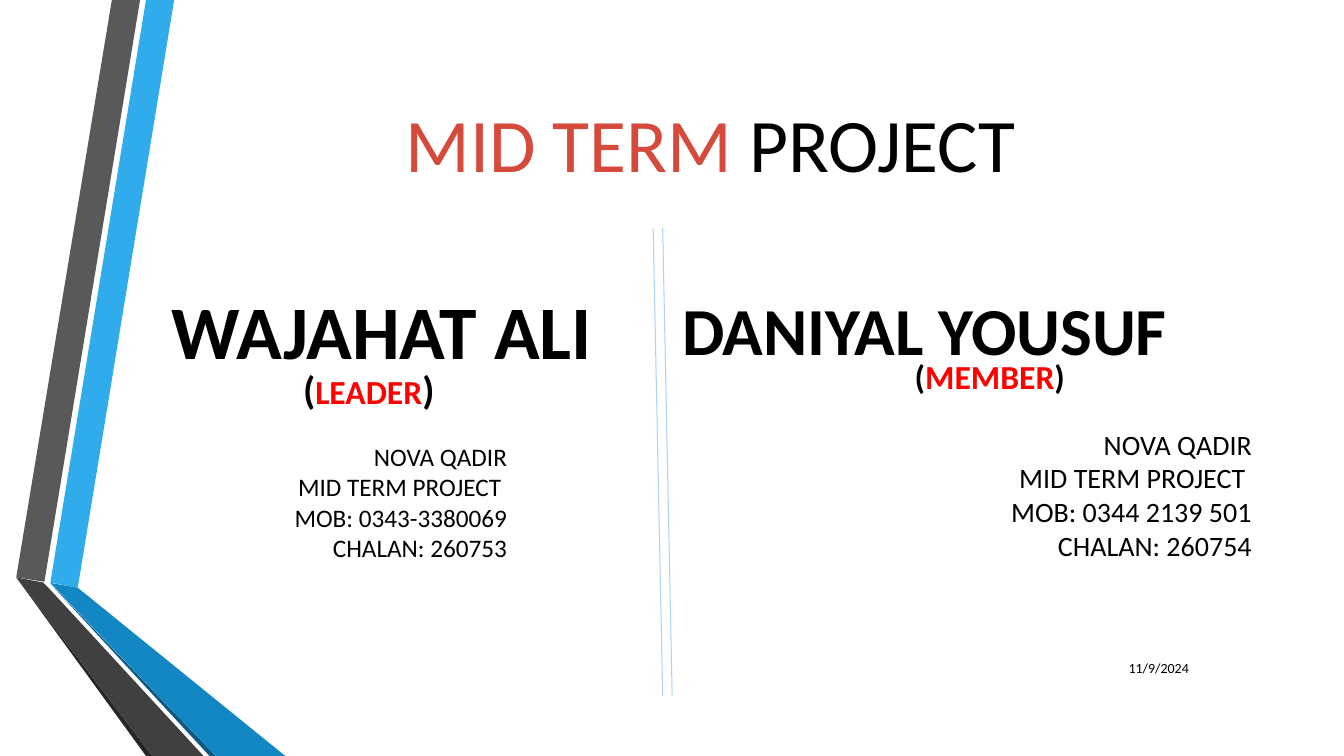
from lxml.etree import SubElement
from pptx import Presentation
from pptx.dml.color import RGBColor
from pptx.enum.shapes import MSO_CONNECTOR
from pptx.enum.text import MSO_ANCHOR as Anchor, MSO_AUTO_SIZE as AutoSize, PP_ALIGN as Align
from pptx.oxml.ns import qn
from pptx.util import Cm, Pt

BLACK, RED, CORAL, PALE_BLUE = "000000", "FF0000", "D64A3B", "AED2F4"
PAGE_WIDTH, PAGE_HEIGHT = 33.87, 19.05

# Ribbon colour and corners, in cm
RIBBONS = [
    ("30ACEC", [(1.27, 14.68), (1.96, 14.81), (4.39, 0), (3.68, 0)]),
    ("595959", [(3.53, 0), (2.82, 0), (0.41, 14.55), (1.12, 14.66)]),
    ("262626", [(0.41, 14.55), (3.68, PAGE_HEIGHT), (3.84, PAGE_HEIGHT)]),
    ("0C5A82", [(1.27, 14.71), (5.28, PAGE_HEIGHT), (5.44, PAGE_HEIGHT)]),
    ("1287C3", [(1.27, 14.69), (5.44, PAGE_HEIGHT), (7.19, PAGE_HEIGHT), (1.96, 14.81)]),
    ("404040", [(5.13, PAGE_HEIGHT), (1.22, 14.81), (1.09, 14.68), (0.41, 14.55),
                (3.84, PAGE_HEIGHT)]),
]

# Paragraphs are lists of (text, size, colour)
TITLE = [[("MID TERM ", 54, CORAL), ("PROJECT", 54, BLACK)]]
TITLE_PLACE = (9.45, 2.31, 16.92, 2.57)


def contact_lines(size, mobile, chalan):
    lines = ["NOVA QADIR", "MID TERM PROJECT ", f"MOB: {mobile}", f"CHALAN: {chalan}"]
    return [[(line, size, BLACK)] for line in lines]


def role_line(role, size, bracket_size):
    return [[("(", bracket_size, BLACK), (role, size, RED), (")", bracket_size, BLACK)]]


# Place (left, top, width, height in cm), paragraphs, alignment, bold, anchor
TEXTS = [
    ((16.94, 7.14, 17.15, 2.31), [[("DANIYAL YOUSUF", 48, BLACK)]], Align.LEFT, True, Anchor.TOP),
    ((21.64, 10.64, 10.16, 3.68), contact_lines(20, "0344 2139 501", "260754"),
     Align.RIGHT, False, Anchor.TOP),
    ((21.01, 8.84, 7.87, 1.27), role_line("MEMBER", 24, 24), Align.CENTER, True, Anchor.TOP),
    ((3.07, 7.04, 13.11, 2.57), [[("WAJAHAT ALI", 54, BLACK)]], Align.CENTER, True, Anchor.TOP),
    ((3.53, 11, 9.5, 3.33), contact_lines(18, "0343-3380069", "260753"),
     Align.RIGHT, False, Anchor.TOP),
    ((7.39, 9.09, 5.64, 1.45), role_line("LEADER", 24, 28), Align.LEFT, True, Anchor.TOP),
    ((27.03, 16.33, 3.18, 1.02), [[("11/9/2024", 10, BLACK)]], Align.RIGHT, False, Anchor.MIDDLE),
]

DIVIDER_STARTS, DIVIDER_SLANT = (16.46, 16.7), 0.24
DIVIDER_TOP, DIVIDER_BOTTOM = 5.74, 17.53


def colour(value):
    return RGBColor.from_string(value)


def fill_text(frame, paragraphs, align, bold, anchor, wrap=True):
    frame.word_wrap = wrap
    frame.auto_size = AutoSize.NONE
    frame.vertical_anchor = anchor
    for index, pieces in enumerate(paragraphs):
        para = frame.paragraphs[0] if index == 0 else frame.add_paragraph()
        para.alignment = align
        for text, size, shade in pieces:
            span = para.add_run()
            span.text = text
            for name, value in {"name": "Calibri", "size": Pt(size), "bold": bold}.items():
                setattr(span.font, name, value)
            span.font.color.rgb = colour(shade)


def add_ribbon(page, shade, corners):
    points = [(Cm(x), Cm(y)) for x, y in corners]
    builder = page.shapes.build_freeform(*points[0])
    builder.add_line_segments(points[1:], close=True)
    ribbon = builder.convert_to_shape()
    ribbon.shadow.inherit = False
    ribbon.fill.solid()
    ribbon.fill.fore_color.rgb = colour(shade)
    ribbon.line.fill.background()


def add_divider(page, start):
    ends = (start, DIVIDER_TOP, start + DIVIDER_SLANT, DIVIDER_BOTTOM)
    divider = page.shapes.add_connector(MSO_CONNECTOR.STRAIGHT, *map(Cm, ends))
    divider.line.color.rgb = colour(PALE_BLUE)
    divider.line.width = Pt(0.75)
    SubElement(divider.element.spPr, qn("a:effectLst"))


def main():
    deck = Presentation()
    deck.slide_width, deck.slide_height = Cm(PAGE_WIDTH), Cm(PAGE_HEIGHT)
    page = deck.slides.add_slide(deck.slide_layouts[5])

    for shade, corners in RIBBONS:
        add_ribbon(page, shade, corners)
    for place, *content in TEXTS:
        box = page.shapes.add_textbox(*map(Cm, place))
        fill_text(box.text_frame, *content)
    for start in DIVIDER_STARTS:
        add_divider(page, start)

    title = page.shapes.title
    for name, value in zip(("left", "top", "width", "height"), TITLE_PLACE):
        setattr(title, name, Cm(value))
    fill_text(title.text_frame, TITLE, Align.CENTER, False, Anchor.TOP, wrap=False)

    deck.save("out.pptx")


if __name__ == "__main__":
    main()
